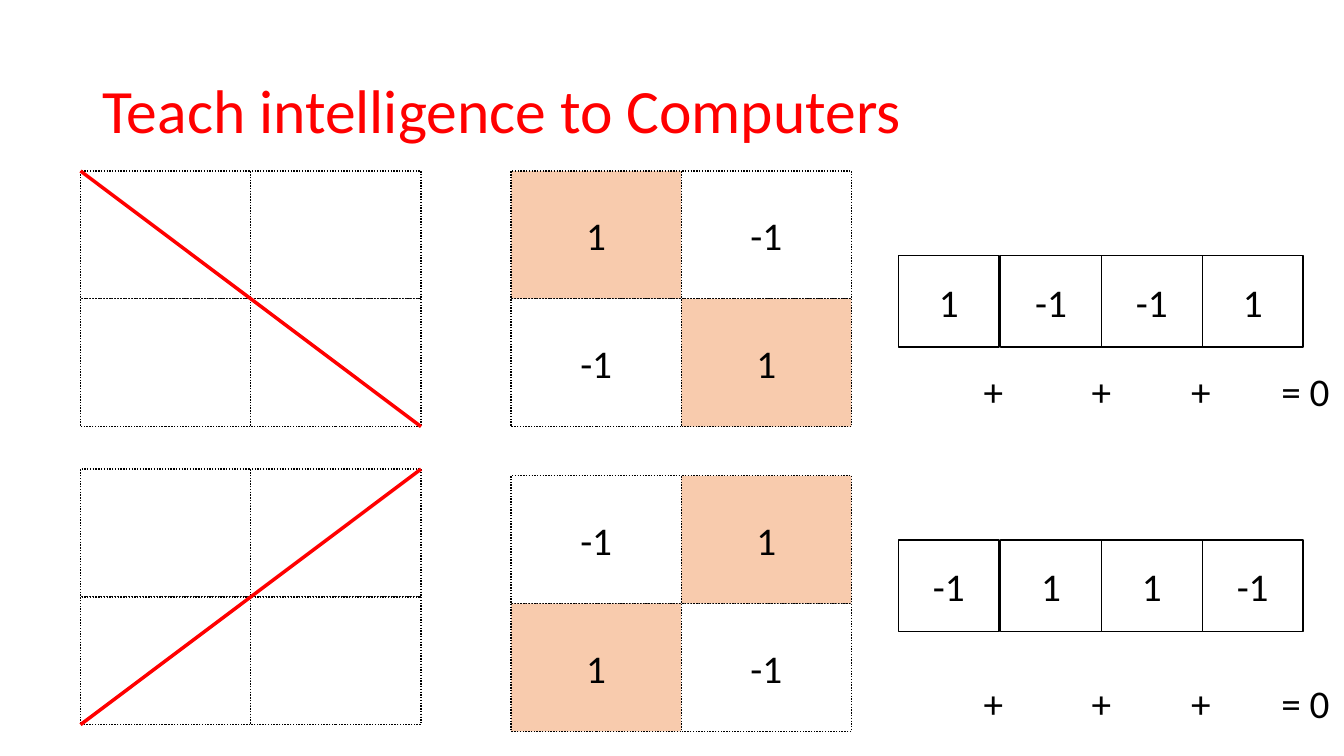
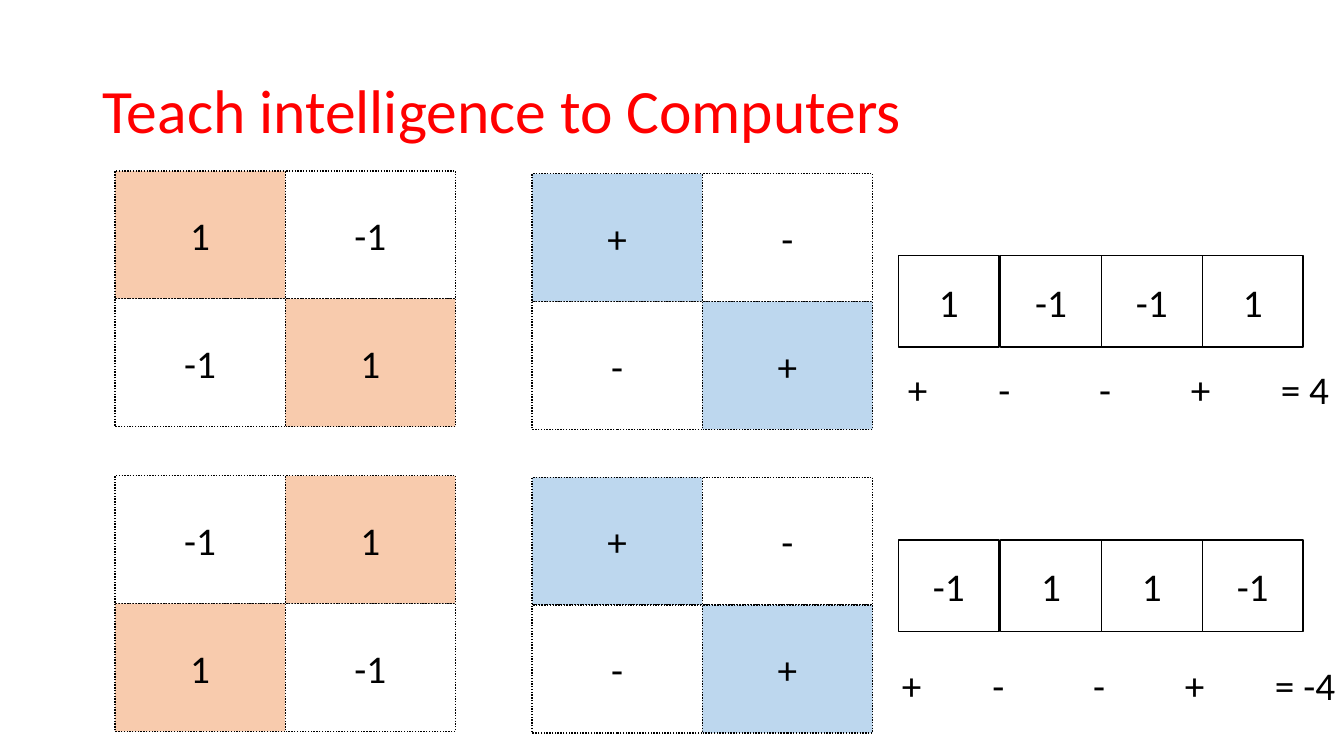
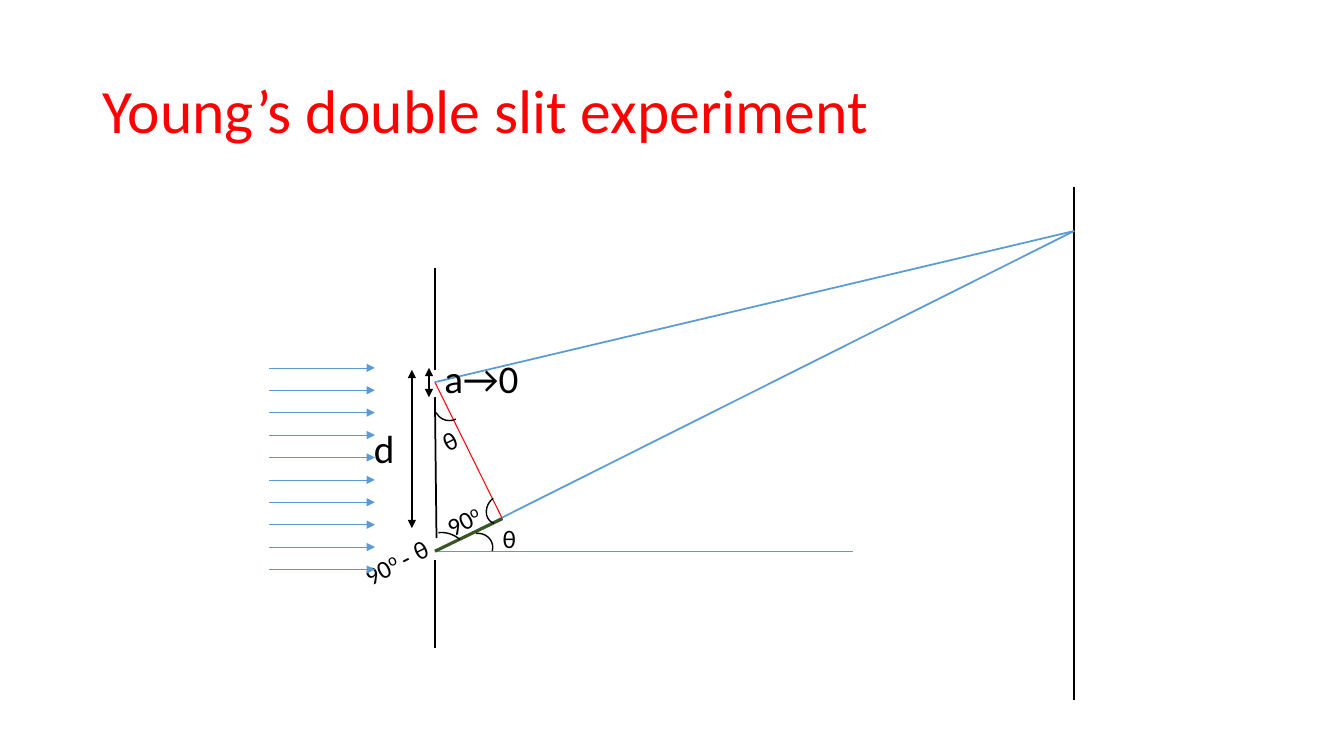
from lxml import etree
from pptx import Presentation
from pptx.dml.color import RGBColor
from pptx.enum.dml import MSO_LINE
from pptx.enum.shapes import MSO_CONNECTOR, MSO_SHAPE
from pptx.enum.text import MSO_ANCHOR, PP_ALIGN
from pptx.oxml.ns import qn
from pptx.util import Cm, Pt

RECT, ARC = MSO_SHAPE.RECTANGLE, MSO_SHAPE.ARC
STRAIGHT, DOTTED = MSO_CONNECTOR.STRAIGHT, MSO_LINE.ROUND_DOT
MIDDLE, CENTER = MSO_ANCHOR.MIDDLE, PP_ALIGN.CENTER

# Shared style
BLACK, WHITE, RED = "000000", "FFFFFF", "FF0000"
PEACH, PALE_BLUE, BLUE, GREEN = "F8CBAD", "BDD7EE", "5B9BD5", "385723"
BODY, SYMBOL = "Calibri", "Arial"
TITLE_SIZE, TEXT_SIZE, ANGLE_SIZE = 44, 28, 18
TITLE_BOX = (2.33, 1.01, 29.21, 3.68)
TILT = 333.2

# Pixel patterns of the two diagonals, read row by row
FALLING = ("1", "-1", "-1", "1")
RISING = ("-1", "1", "1", "-1")
SIGNS = ("+", "-", "-", "+")
CELL_W, CELL_H = 4.29, 3.22
VECTOR_LEFT, VECTOR_CELL, VECTOR_H, VECTOR_GAP = 22.64, 2.54, 2.31, 0.04
VECTORS = [(FALLING, 6.44), (RISING, 13.61)]

# Slides 1 and 2: grids are (left, top, values, highlight), sums are (box, terms)
BOARDS = [
    {"title": "Teach intelligence to Computers",
     "grids": [(2.03, 4.31, [""] * 4, PEACH), (2.03, 11.82, [""] * 4, PEACH),
               (12.88, 4.31, FALLING, PEACH), (12.88, 11.99, RISING, PEACH)],
     "strokes": [(2.03, 4.31, False), (2.03, 11.82, True)],
     "tabs": (2.72, 5.23, 7.5),
     "sums": [((24.54, 9.14, 9.35, 1.45), ("+", "+", "+", "= 0")),
              ((24.54, 16.99, 9.35, 1.45), ("+", "+", "+", "= 0"))]},
    {"title": "Teach intelligence to Computers",
     "grids": [(2.9, 4.31, FALLING, PEACH), (2.9, 11.99, RISING, PEACH),
               (13.41, 4.38, SIGNS, PALE_BLUE), (13.41, 12.03, SIGNS, PALE_BLUE)],
     "strokes": [],
     "tabs": (2.28, 4.82, 7.13, 9.4),
     "sums": [((22.63, 9.07, 11.23, 1.45), SIGNS + ("= 4",)),
              ((22.48, 16.54, 11.84, 1.45), SIGNS + ("= -4",))]},
]

# Slide 3: double slit
SLIT_TITLE = "Young’s double slit experiment"
SLIT_X, SCREEN_X = 10.96, 27.07
UPPER_SLIT, LOWER_SLIT = (SLIT_X, 9.63), (SLIT_X, 13.89)
BRIGHT_POINT, FOOT = (SCREEN_X, 5.82), (12.66, 13.07)
# (start, end, colour, width, arrowheads)
SLIT_LINES = [
    (UPPER_SLIT, FOOT, RED, 0.75, ()),
    ((SLIT_X, 14.1), (SLIT_X, 16.33), BLACK, 1.25, ()),
    ((SLIT_X, 6.76), (SLIT_X, 9.32), BLACK, 1.25, ()),
    ((SLIT_X, 10.01), (11, 13.56), BLACK, 1.25, ()),
    ((SCREEN_X, 4.7), (SCREEN_X, 17.65), BLACK, 1.25, ()),
    (UPPER_SLIT, BRIGHT_POINT, BLUE, 1.25, ()),
    (BRIGHT_POINT, LOWER_SLIT, BLUE, 1.25, ()),
    ((10.38, 9.32), (10.38, 13.31), BLACK, 1.75, ("headEnd", "tailEnd")),
    (LOWER_SLIT, (21.49, 13.89), BLUE, 0.5, ()),
    (LOWER_SLIT, FOOT, GREEN, 2.25, ()),
    ((10.81, 9.27), (10.81, 10.01), BLACK, 1.75, ("headEnd", "tailEnd")),
]
LIGHT_LEFT, LIGHT_RIGHT, LIGHT_TOP, LIGHT_BOTTOM, LIGHT_COUNT = 6.78, 9.45, 9.27, 14.35, 10
# (box, rotation, start angle, end angle), angles in degrees
ANGLE_ARCS = [
    ((12.27, 12.47, 0.61, 0.74), 208.2, 261.98, 34.72),
    ((11.68, 13.44, 0.74, 0.71), 0, 261.65, 14.82),
    ((10.59, 13.44, 1.24, 1.04), 208.2, 45.25, 108.4),
    ((10.95, 9.86, 0.74, 0.74), 118.6, 304.92, 34.72),
]
# (box, rotation, size, runs as (text, font, baseline percent))
SLIT_LABELS = [
    ((10.92, 12.27, 2.92, 1.02), TILT, ANGLE_SIZE, [("90", BODY, 0), ("օ", SYMBOL, 30)]),
    ((9.17, 10.57, 1.27, 1.45), 0, TEXT_SIZE, [("d", BODY, 0)]),
    ((12.42, 13.06, 2.92, 1.02), 0, ANGLE_SIZE, [("θ", BODY, 0)]),
    ((8.89, 13.64, 2.26, 1.02), TILT, ANGLE_SIZE,
     [("90", BODY, 0), ("օ ", SYMBOL, 30), ("- ", SYMBOL, 0), ("θ", BODY, 0)]),
    ((10.8, 10.13, 2.92, 1.02), TILT, ANGLE_SIZE, [("θ", BODY, 0)]),
    ((10.95, 8.81, 3.38, 1.45), 0, TEXT_SIZE, [("a→0", BODY, 0)]),
]


def rgb(value):
    return RGBColor.from_string(value)


def cm(values):
    return [Cm(value) for value in values]


def style_run(run, size, color=BLACK, font=BODY):
    run.font.size, run.font.name = Pt(size), font
    run.font.color.rgb = rgb(color)


def add_text(slide, box, text, size, color=BLACK):
    label = slide.shapes.add_textbox(*cm(box))
    label.text_frame.word_wrap = True
    paragraph = label.text_frame.paragraphs[0]
    paragraph.text = text
    for run in paragraph.runs:
        style_run(run, size, color)
    return label


def add_slide(deck, title):
    slide = deck.slides.add_slide(deck.slide_layouts[6])
    heading = add_text(slide, TITLE_BOX, title, TITLE_SIZE, RED)
    heading.text_frame.vertical_anchor = MIDDLE
    heading.text_frame.paragraphs[0].line_spacing = 0.9
    return slide


def add_cell(slide, box, text, fill=WHITE, dash=None):
    cell = slide.shapes.add_shape(RECT, *cm(box))
    cell.shadow.inherit = False
    cell.fill.solid()
    cell.fill.fore_color.rgb = rgb(fill)
    cell.line.color.rgb, cell.line.width = rgb(BLACK), Pt(1)
    if dash:
        cell.line.dash_style = dash
    if text:
        cell.text_frame.text = text
        cell.text_frame.vertical_anchor = MIDDLE
        paragraph = cell.text_frame.paragraphs[0]
        paragraph.alignment = CENTER
        style_run(paragraph.runs[0], TEXT_SIZE)


def add_line(slide, start, end, color, width, heads=()):
    line = slide.shapes.add_connector(STRAIGHT, *cm(start + end))
    line.line.color.rgb, line.line.width = rgb(color), Pt(width)
    properties = line._element.spPr
    for head in heads:
        etree.SubElement(properties.find(qn("a:ln")), qn(f"a:{head}"), type="triangle")
    etree.SubElement(properties, qn("a:effectLst"))


def add_grid(slide, left, top, values, highlight):
    for index, value in enumerate(values):
        row, column = divmod(index, 2)
        box = (left + column * CELL_W, top + row * CELL_H, CELL_W, CELL_H)
        add_cell(slide, box, value, highlight if value in ("1", "+") else WHITE, DOTTED)


def add_vector(slide, values, top):
    for index, value in enumerate(values):
        left = VECTOR_LEFT + index * VECTOR_CELL + (VECTOR_GAP if index else 0)
        add_cell(slide, (left, top, VECTOR_CELL, VECTOR_H), value)


def add_sum(slide, box, terms, tabs):
    label = add_text(slide, box, "\t".join(terms), TEXT_SIZE)
    properties = label.text_frame.paragraphs[0]._p.get_or_add_pPr()
    stops = etree.SubElement(properties, qn("a:tabLst"))
    for tab in tabs:
        etree.SubElement(stops, qn("a:tab"), pos=str(Cm(tab)), algn="l")


def add_arc(slide, box, rotation, start, end):
    arc = slide.shapes.add_shape(ARC, *cm(box))
    arc.shadow.inherit = False
    arc.rotation = rotation
    arc.fill.background()
    arc.line.color.rgb, arc.line.width = rgb(BLACK), Pt(1)
    # One degree is 60000 units; an adjustment counts 100000 units
    for index, angle in enumerate((start, end)):
        arc.adjustments[index] = angle * 0.6


def add_label(slide, box, rotation, size, runs):
    label = add_text(slide, box, "", size)
    label.rotation = rotation
    for text, font, baseline in runs:
        run = label.text_frame.paragraphs[0].add_run()
        run.text = text
        style_run(run, size, font=font)
        if baseline:
            run._r.get_or_add_rPr().set("baseline", str(baseline * 1000))


def build_board(deck, board):
    slide = add_slide(deck, board["title"])
    for grid in board["grids"]:
        add_grid(slide, *grid)
    for left, top, rising in board["strokes"]:
        right, bottom = left + 2 * CELL_W, top + 2 * CELL_H
        start, end = ((right, top), (left, bottom)) if rising else ((left, top), (right, bottom))
        add_line(slide, start, end, RED, 2.5)
    for values, top in VECTORS:
        add_vector(slide, values, top)
    for box, terms in board["sums"]:
        add_sum(slide, box, terms, board["tabs"])


def build_double_slit(deck):
    slide = add_slide(deck, SLIT_TITLE)
    for line in SLIT_LINES:
        add_line(slide, *line)
    for arc in ANGLE_ARCS:
        add_arc(slide, *arc)
    for label in SLIT_LABELS:
        add_label(slide, *label)
    # Incoming light
    pitch = (LIGHT_BOTTOM - LIGHT_TOP) / (LIGHT_COUNT - 1)
    for index in range(LIGHT_COUNT):
        y = LIGHT_TOP + index * pitch
        add_line(slide, (LIGHT_LEFT, y), (LIGHT_RIGHT, y), BLUE, 0.5, ("tailEnd",))


def main():
    deck = Presentation()
    deck.slide_width, deck.slide_height = Cm(33.87), Cm(19.05)
    for board in BOARDS:
        build_board(deck, board)
    build_double_slit(deck)
    deck.save("out.pptx")


if __name__ == "__main__":
    main()
